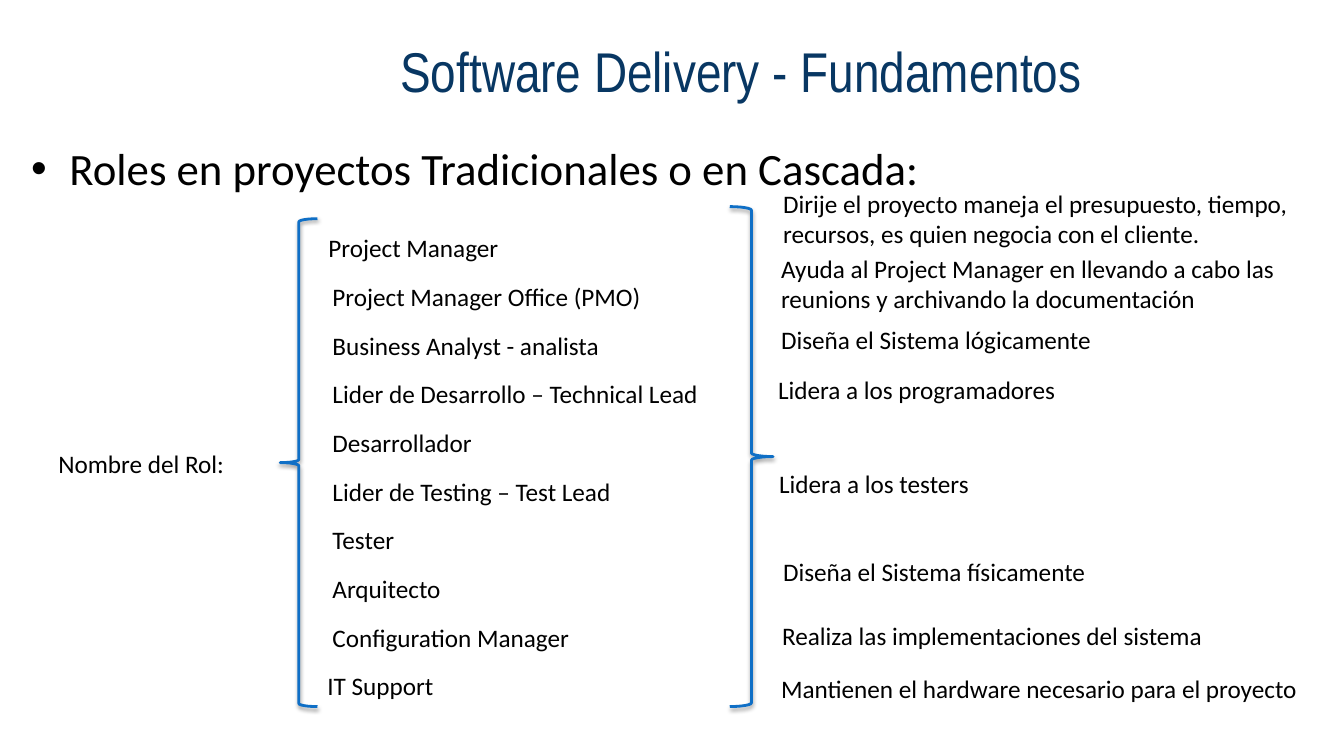
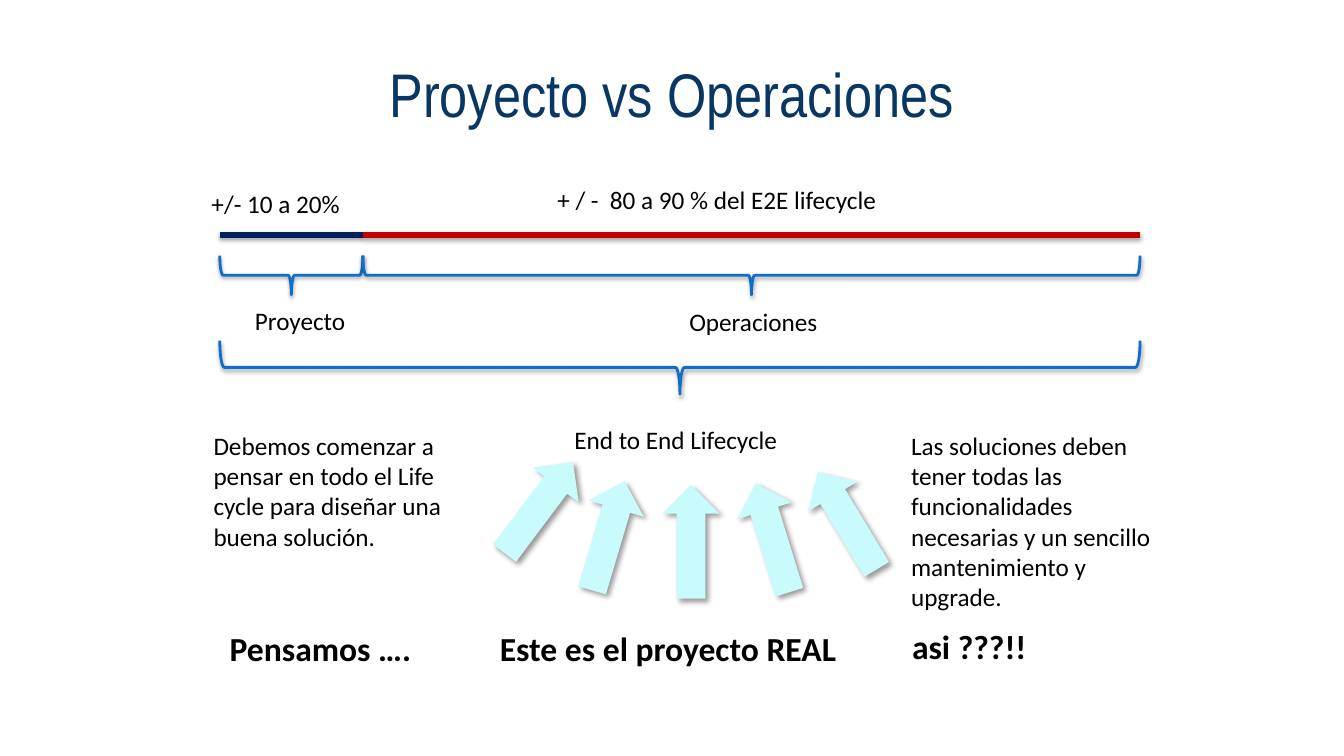
from dataclasses import dataclass

from lxml import etree
from pptx import Presentation
from pptx import util as u
from pptx.dml.color import RGBColor
from pptx.enum import shapes, text
from pptx.oxml import ns

COLUMNS, ROWS = 40, 30
SLIDE_WIDTH, SLIDE_HEIGHT = u.Inches(13.33), u.Inches(7.5)
TITLE_ONLY = 5


@dataclass(frozen=True)
class Theme:
    title_font: str = "Arial Narrow"
    body_font: str = "Calibri"
    title: str = "083763"
    ink: str = "000000"
    brace: str = "0F6FC6"
    project: str = "002060"
    operations: str = "C00000"
    arrow: str = "C9FAFC"
    heading_size: int = 32
    closing_size: int = 24
    body_size: int = 18
    brace_weight: int = 2
    line_weight: int = 4


THEME = Theme()


@dataclass(frozen=True)
class Shadow:
    opacity: int
    blur: float
    distance: float
    angle: int


LINE_SHADOW = Shadow(38, 3.1, 1.6, 90)
ARROW_SHADOW = Shadow(40, 4, 3, 45)


@dataclass(frozen=True)
class Area:
    """A rectangle in grid columns (left, width) and rows (top, height)."""
    left: float
    top: float
    width: float
    height: float

    def emu(self):
        return col(self.left), row(self.top), col(self.width), row(self.height)


@dataclass(frozen=True)
class Label:
    text: str
    left: float
    top: float
    width: float
    size: int = THEME.body_size
    bold: bool = False
    wrap: bool = False
    lines: int = 1


@dataclass(frozen=True)
class Arrow:
    left: float
    top: float
    rotation: float


@dataclass(frozen=True)
class Stage:
    """A stretch of the time line between two columns."""
    start: float
    end: float
    color: str


ROLE_TOP, ROLE_PITCH = 9.04, 1.93
ROLES = [
    ("Project Manager", 9.48, 5.97),
    ("Project Manager Office (PMO)", 9.6, 9.9),
    ("Business Analyst - analista", 9.6, 8.61),
    ("Lider de Desarrollo – Technical Lead", 9.6, 11.61),
    ("Desarrollador", 9.6, 4.8),
    ("Lider de Testing – Test Lead", 9.6, 9),
    ("Tester", 9.6, 2.46),
    ("Arquitecto", 9.6, 3.87),
    ("Configuration Manager", 9.6, 7.98),
    ("IT Support", 9.45, 3.96),
]

DUTY_WIDTH = 16.9
DUTIES = [
    ("Dirije el proyecto maneja el presupuesto, tiempo,\n"
     "recursos, es quien negocia con el cliente.", 23.01, 7.28, 2),
    ("Ayuda al Project Manager en llevando a cabo las reunions y "
     "archivando la documentación", 22.95, 9.84, 2),
    ("Diseña el Sistema lógicamente", 22.95, 12.68, 1),
    ("Lidera a los programadores", 22.86, 14.64, 1),
    ("Lidera a los testers", 22.89, 18.4, 1),
    ("Diseña el Sistema físicamente", 23.01, 21.88, 1),
    ("Realiza las implementaciones del sistema", 22.98, 24.44, 1),
    ("Mantienen el hardware necesario para el proyecto", 22.95, 26.52, 1),
]

STAGES = [Stage(6.54, 10.8, THEME.project), Stage(10.8, 33.93, THEME.operations)]
STAGE_ROW = 9.32

LIFECYCLE_LABELS = [
    Label("+/- 10 a 20%", 6, 7.28, 4.47),
    Label("+ / -  80 a 90 % del E2E lifecycle", 16.29, 7.12, 10.23),
    Label("Proyecto", 7.29, 11.92, 3.33),
    Label("Operaciones", 20.22, 11.96, 4.47),
    Label("End to End Lifecycle", 16.8, 16.64, 6.72),
    Label("Debemos comenzar a pensar en todo el Life cycle para diseñar una "
          "buena solución.", 6.06, 16.88, 7.8, wrap=True, lines=4),
    Label("Las soluciones deben tener todas las funcionalidades\n"
          "necesarias y un sencillo mantenimiento y upgrade.",
          26.82, 16.88, 7.8, wrap=True, lines=6),
    Label("Pensamos ….", 6.54, 24.72, 6.06, THEME.closing_size, True),
    Label("Este es el proyecto REAL", 14.58, 24.72, 11.16, THEME.closing_size, True),
    Label("asi ???!!", 26.85, 24.64, 4.05, THEME.closing_size, True),
]

ARROW_WIDTH, ARROW_HEIGHT = 3.39, 2.28
ARROWS = [
    Arrow(14.34, 19, 306.9),
    Arrow(16.41, 20.12, 286.5),
    Arrow(18.87, 20.36, 270),
    Arrow(21.3, 20.2, 252.8),
    Arrow(23.52, 19.52, 238.9),
]


def col(count: float) -> int:
    return round(SLIDE_WIDTH * count / COLUMNS)


def row(count: float) -> int:
    return round(SLIDE_HEIGHT * count / ROWS)


def format_text(frame, font: str, size: int, color: str, bold: bool = False) -> None:
    for para in frame.paragraphs:
        for span in para.runs:
            span.font.name = font
            span.font.size = u.Pt(size)
            span.font.bold = bold
            span.font.color.rgb = RGBColor.from_string(color)


def add_page(deck, title: str, area: Area, size: int):
    page = deck.slides.add_slide(deck.slide_layouts[TITLE_ONLY])
    box = page.shapes.title
    box.left, box.top, box.width, box.height = area.emu()
    frame = box.text_frame
    frame.text = title
    frame.auto_size = text.MSO_AUTO_SIZE.NONE
    frame.vertical_anchor = text.MSO_ANCHOR.MIDDLE
    frame.paragraphs[0].alignment = text.PP_ALIGN.CENTER
    format_text(frame, THEME.title_font, size, THEME.title)
    return page


def add_label(page, label: Label):
    height = u.Pt(label.lines * label.size * 1.2) + u.Inches(0.1)
    box = page.shapes.add_textbox(col(label.left), row(label.top), col(label.width), height)
    frame = box.text_frame
    frame.word_wrap = label.wrap
    frame.auto_size = text.MSO_AUTO_SIZE.SHAPE_TO_FIT_TEXT
    frame.text = label.text
    format_text(frame, THEME.body_font, label.size, THEME.ink, label.bold)
    return box


def add_bullet(para) -> None:
    properties = para._p.get_or_add_pPr()
    properties.set("marL", str(u.Inches(0.38)))
    properties.set("indent", str(-u.Inches(0.38)))
    before = etree.SubElement(properties, ns.qn("a:spcBef"))
    etree.SubElement(before, ns.qn("a:spcPct"), val="20000")
    etree.SubElement(properties, ns.qn("a:buFont"), typeface="Arial")
    etree.SubElement(properties, ns.qn("a:buChar"), char="•")


def add_shadow(shape, shadow: Shadow) -> None:
    """Call after fill and line are set, as effects come last in the properties."""
    effects = etree.SubElement(shape._element.spPr, ns.qn("a:effectLst"))
    outer = etree.SubElement(
        effects, ns.qn("a:outerShdw"), blurRad=str(u.Pt(shadow.blur)),
        dist=str(u.Pt(shadow.distance)), dir=str(shadow.angle * 60000), rotWithShape="0")
    color = etree.SubElement(outer, ns.qn("a:srgbClr"), val=THEME.ink)
    etree.SubElement(color, ns.qn("a:alpha"), val=str(shadow.opacity * 1000))


def set_line(shape, color: str, weight: float) -> None:
    shape.line.color.rgb = RGBColor.from_string(color)
    shape.line.width = u.Pt(weight)


def add_brace(page, kind, left: int, top: int, width: int, height: int):
    brace = page.shapes.add_shape(kind, left, top, width, height)
    brace.fill.background()
    set_line(brace, THEME.brace, THEME.brace_weight)
    add_shadow(brace, LINE_SHADOW)
    return brace


def add_brace_below(page, start: float, end: float, top: float, depth: float) -> None:
    """Lay a brace on its side, pointing down, between two columns."""
    span, thickness = col(end - start), row(depth)
    left = col(start) + (span - thickness) // 2
    upper = row(top) + (thickness - span) // 2
    brace = add_brace(page, shapes.MSO_SHAPE.RIGHT_BRACE, left, upper, thickness, span)
    brace.rotation = 90


def add_stage(page, stage: Stage) -> None:
    line = page.shapes.add_connector(
        shapes.MSO_CONNECTOR.STRAIGHT,
        col(stage.start), row(STAGE_ROW), col(stage.end), row(STAGE_ROW))
    set_line(line, stage.color, THEME.line_weight)
    add_shadow(line, LINE_SHADOW)
    add_brace_below(page, stage.start, stage.end, 10.14, 1.56)


def add_arrow(page, arrow: Arrow) -> None:
    area = Area(arrow.left, arrow.top, ARROW_WIDTH, ARROW_HEIGHT)
    shape = page.shapes.add_shape(shapes.MSO_SHAPE.RIGHT_ARROW, *area.emu())
    shape.rotation = arrow.rotation
    shape.fill.solid()
    shape.fill.fore_color.rgb = RGBColor.from_string(THEME.arrow)
    shape.line.fill.background()
    add_shadow(shape, ARROW_SHADOW)


def add_roles_page(deck) -> None:
    page = add_page(deck, "Software Delivery - Fundamentos", Area(6.3, 0.52, 31.5, 4.52), 40)
    heading = add_label(page, Label("Roles en proyectos Tradicionales o en Cascada:",
                                    0.63, 5.4, 38.73, THEME.heading_size, wrap=True))
    add_bullet(heading.text_frame.paragraphs[0])
    add_label(page, Label("Nombre del Rol:", 1.44, 17.6, 6.36, wrap=True, lines=2))
    add_brace(page, shapes.MSO_SHAPE.LEFT_BRACE, *Area(8.34, 8.68, 1.11, 19.36).emu())
    add_brace(page, shapes.MSO_SHAPE.RIGHT_BRACE, *Area(21.72, 8.2, 1.29, 19.84).emu())
    for index, (role, left, width) in enumerate(ROLES):
        add_label(page, Label(role, left, ROLE_TOP + index * ROLE_PITCH, width))
    for duty, left, top, lines in DUTIES:
        add_label(page, Label(duty, left, top, DUTY_WIDTH, wrap=True, lines=lines))


def add_lifecycle_page(deck) -> None:
    page = add_page(deck, "Proyecto vs Operaciones", Area(2, 1.2, 36, 5), 44)
    for stage in STAGES:
        add_stage(page, stage)
    add_brace_below(page, STAGES[0].start, STAGES[-1].end, 13.52, 2.12)
    for arrow in ARROWS:
        add_arrow(page, arrow)
    for label in LIFECYCLE_LABELS:
        add_label(page, label)


def main() -> None:
    deck = Presentation()
    deck.slide_width, deck.slide_height = SLIDE_WIDTH, SLIDE_HEIGHT
    add_roles_page(deck)
    add_lifecycle_page(deck)
    deck.save("out.pptx")


if __name__ == "__main__":
    main()
